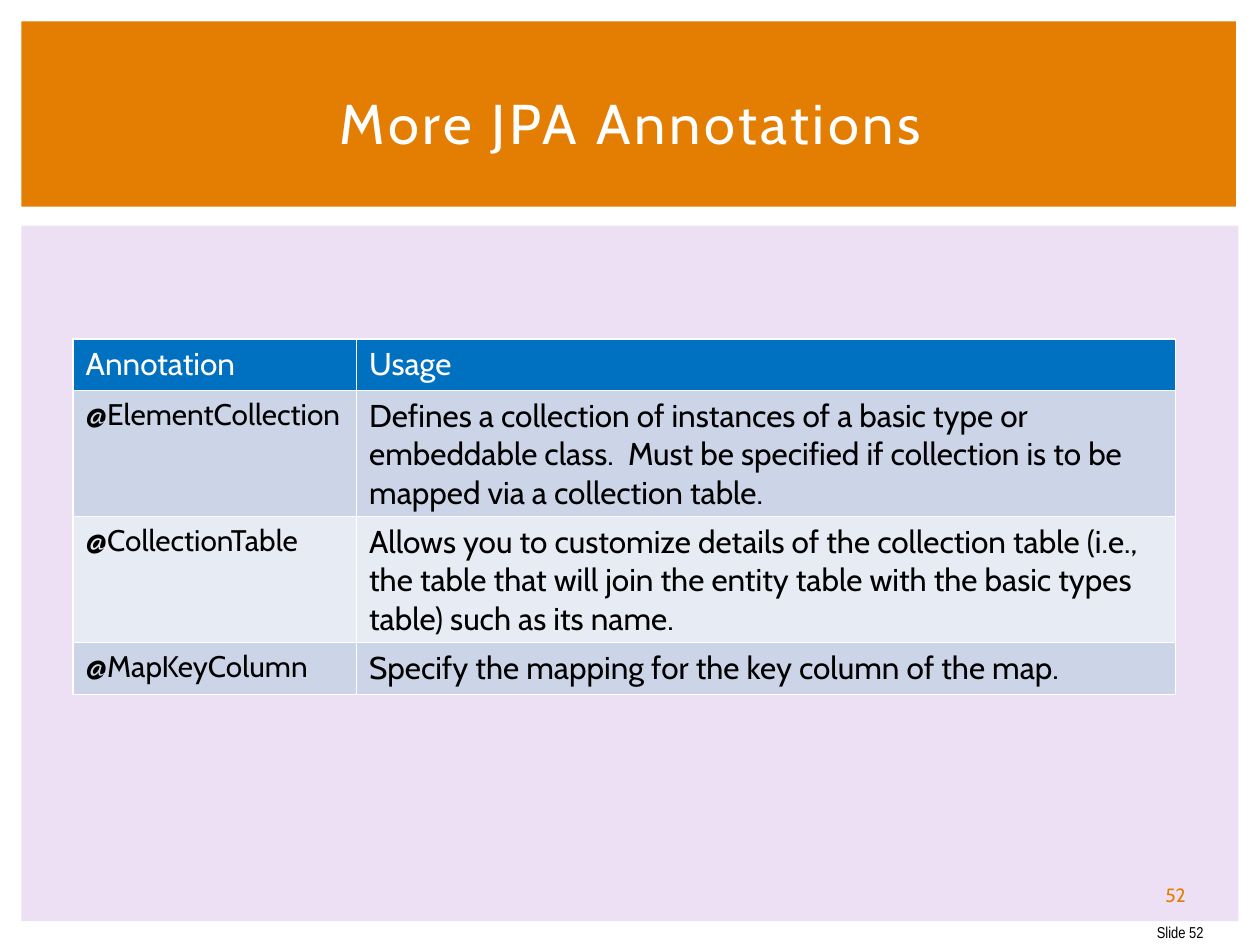
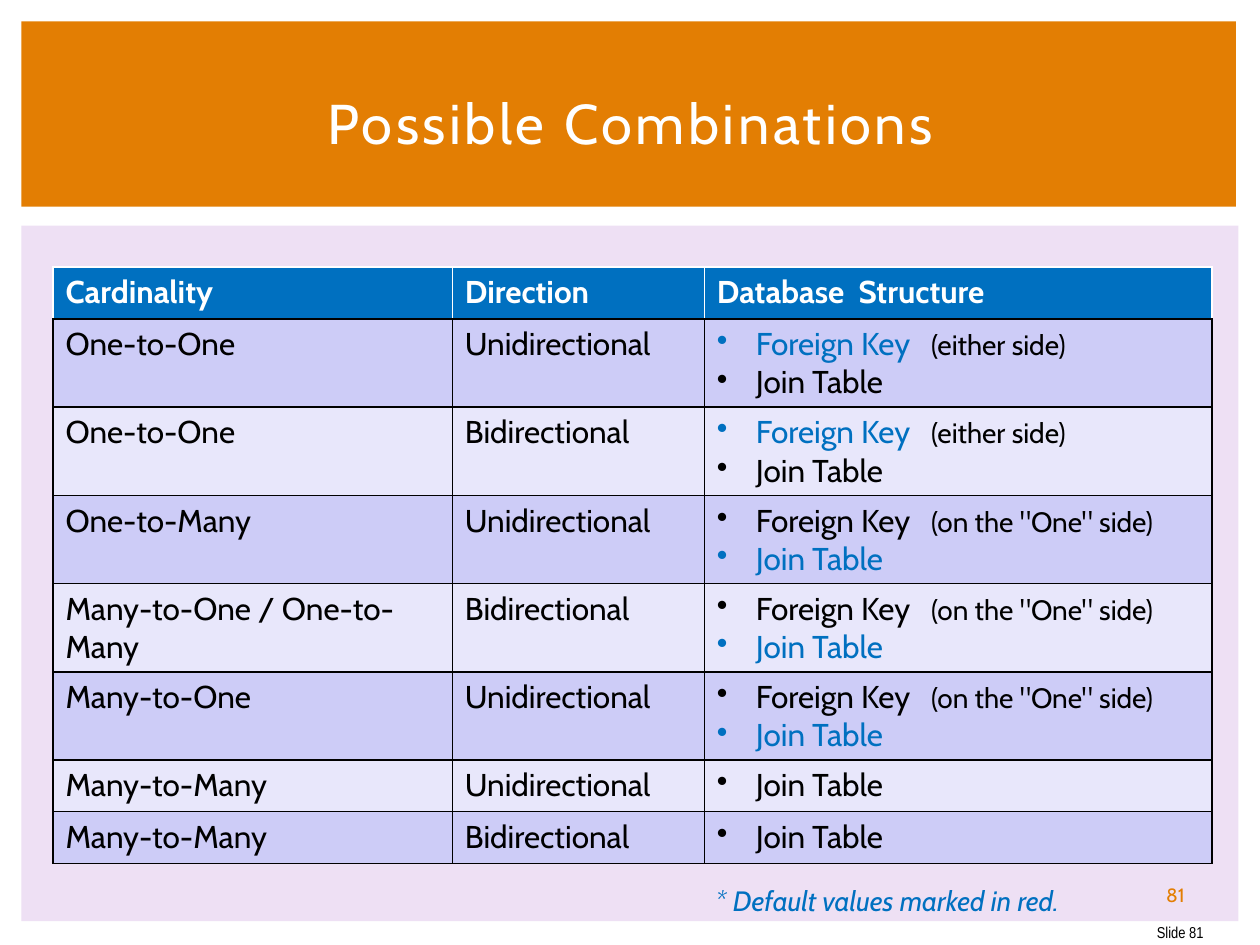
from lxml import etree
from pptx import Presentation
from pptx import util as u
from pptx.dml.color import RGBColor
from pptx.enum import shapes, text
from pptx.oxml.ns import qn

HUES = {
    "band": "E37E03", "panel": "EEE0F4", "white": "FFFFFF", "black": "000000",
    "blue": "0070C0", "mist": "CCD5E8", "pale": "E7EBF4",
    "lilac": "CDCCF7", "light": "E8E7FB",
}
FACE = "Cabin"


def rgb(hue):
    return RGBColor.from_string(HUES[hue])


class Deck:
    def __init__(self):
        self.file = Presentation()
        self.file.slide_width = u.Inches(10)
        self.file.slide_height = u.Inches(7.5)
        self.slide = None

    def start(self, title, num):
        """Add a slide with its panel, title band and both numbers."""
        self.slide = self.file.slides.add_slide(self.file.slide_layouts[6])
        self.block(0.17, 1.79, 9.66, 5.52, "panel")
        self.block(0.17, 0.17, 9.64, 1.47, "band")
        self.label(f"Slide {num}", 9.01, 7.25, 0.64, 0.3, 9, "black",
                   text.PP_ALIGN.RIGHT, face="Arial Narrow")
        self.label(str(num), 9.01, 6.95, 0.64, 0.3, 11, "band",
                   text.PP_ALIGN.CENTER)
        head = self.label(title, 0.42, 0.39, 9.17, 1.15, 32, "white",
                          text.PP_ALIGN.CENTER)
        head.runs[0].font._element.set("spc", "200")

    def block(self, x, y, w, h, hue):
        box = self.slide.shapes.add_shape(
            shapes.MSO_SHAPE.RECTANGLE, *map(u.Inches, (x, y, w, h)))
        box.shadow.inherit = False
        box.fill.solid()
        box.fill.fore_color.rgb = rgb(hue)
        box.line.fill.background()

    def style(self, para, size, hue, bold=False, slant=False, face=FACE):
        font = para.font
        font.name, font.size = face, u.Pt(size)
        font.bold, font.italic = bold, slant
        font.color.rgb = rgb(hue)

    def label(self, words, x, y, w, h, size, hue,
              align=text.PP_ALIGN.LEFT, wrap=True, **look):
        box = self.slide.shapes.add_textbox(*map(u.Inches, (x, y, w, h)))
        frame = box.text_frame
        frame.word_wrap = wrap
        frame.vertical_anchor = text.MSO_ANCHOR.MIDDLE
        para = frame.paragraphs[0]
        para.text, para.alignment = words, align
        self.style(para, size, hue, **look)
        return para

    def edge(self, cell, sides):
        """Draw 1 pt borders; sides maps L, R, T and B to colours."""
        props = cell._tc.get_or_add_tcPr()
        for side, hue in sides.items():
            line = etree.SubElement(props, qn(f"a:ln{side}"), w=str(u.Pt(1)))
            fill = etree.SubElement(line, qn("a:solidFill"))
            etree.SubElement(fill, qn("a:srgbClr"), val=HUES[hue])

    def bullet(self, para, words, note, hue):
        """Write a bulleted line, with a smaller note at a tab stop."""
        props = para._p.get_or_add_pPr()
        props.set("marL", str(u.Inches(0.31)))
        props.set("indent", str(-u.Inches(0.31)))
        etree.SubElement(props, qn("a:buChar"), char="•")
        if note:
            tabs = etree.SubElement(props, qn("a:tabLst"))
            etree.SubElement(tabs, qn("a:tab"), pos=str(u.Inches(1.7)), algn="l")
        self.style(para, 18, hue)
        para.add_run().text = words + ("\t" if note else "")
        if note:
            run = para.add_run()
            run.text = note
            run.font.size = u.Pt(16)
            run.font.color.rgb = rgb("black")

    def table(self, x, y, cols, rows, fills, rule, bold=False, first=18):
        """Fill a table; a cell is a string or a list of bullet lines."""
        high = 0.41
        frame = self.slide.shapes.add_table(
            len(rows), len(cols),
            *map(u.Inches, (x, y, sum(cols), high * len(rows))))
        grid = frame.table
        grid.first_row = grid.horz_banding = False
        for col, wide in zip(grid.columns, cols):
            col.width = u.Inches(wide)
        for r, row in enumerate(rows):
            grid.rows[r].height = u.Inches(high)
            top = r == 0
            sides = dict.fromkeys("LRT", "white" if top else rule)
            if r == 1:
                sides["T"] = rule
            for c, item in enumerate(row):
                cell = grid.cell(r, c)
                self.edge(cell, {**sides, "B": rule})
                cell.fill.solid()
                cell.fill.fore_color.rgb = rgb(
                    "blue" if top else fills[(r - 1) % 2])
                body = cell.text_frame
                if isinstance(item, str):
                    body.text = item
                    self.style(body.paragraphs[0],
                               first if c == 0 and not top else 18,
                               "white" if top else "black", top and bold)
                    continue
                for n, line in enumerate(item):
                    para = body.add_paragraph() if n else body.paragraphs[0]
                    self.bullet(para, *line)

    def save(self):
        self.file.save("out.pptx")


def keys(note, main):
    """Both ways to store a link, the default one in blue."""
    return [(name, side, "blue" if name == main else "black")
            for name, side in (("Foreign Key", note), ("Join Table", ""))]


def main():
    deck = Deck()
    deck.start("More JPA Annotations", 52)
    deck.table(0.58, 2.69, [2.25, 6.5], [
        ("Annotation", "Usage"),
        ("@ElementCollection",
         "Defines a collection of instances of a basic type or embeddable "
         "class.  Must be specified if collection is to be mapped via a "
         "collection table."),
        ("@CollectionTable",
         "Allows you to customize details of the collection table (i.e., the "
         "table that will join the entity table with the basic types table) "
         "such as its name."),
        ("@MapKeyColumn", "Specify the mapping for the key column of the map."),
    ], ("mist", "pale"), "white", first=17)

    one, two = "Unidirectional", "Bidirectional"
    either = keys("(either side)", "Foreign Key")
    single = keys('(on the "One" side)', "Join Table")
    join = [("Join Table", "", "black")]
    deck.start("Possible Combinations", 81)
    deck.table(0.42, 2.12, [3.17, 2, 4.03], [
        ("Cardinality", "Direction", "Database  Structure"),
        ("One-to-One", one, either),
        ("One-to-One", two, either),
        ("One-to-Many", one, single),
        ("Many-to-One / One-to-Many", two, single),
        ("Many-to-One", one, single),
        ("Many-to-Many", one, join),
        ("Many-to-Many", two, join),
    ], ("lilac", "light"), "black", bold=True)
    deck.label("* Default values marked in red.", 5.58, 6.96, 3.28, 0.37,
               16, "blue", wrap=False, slant=True)
    deck.save()


if __name__ == "__main__":
    main()
